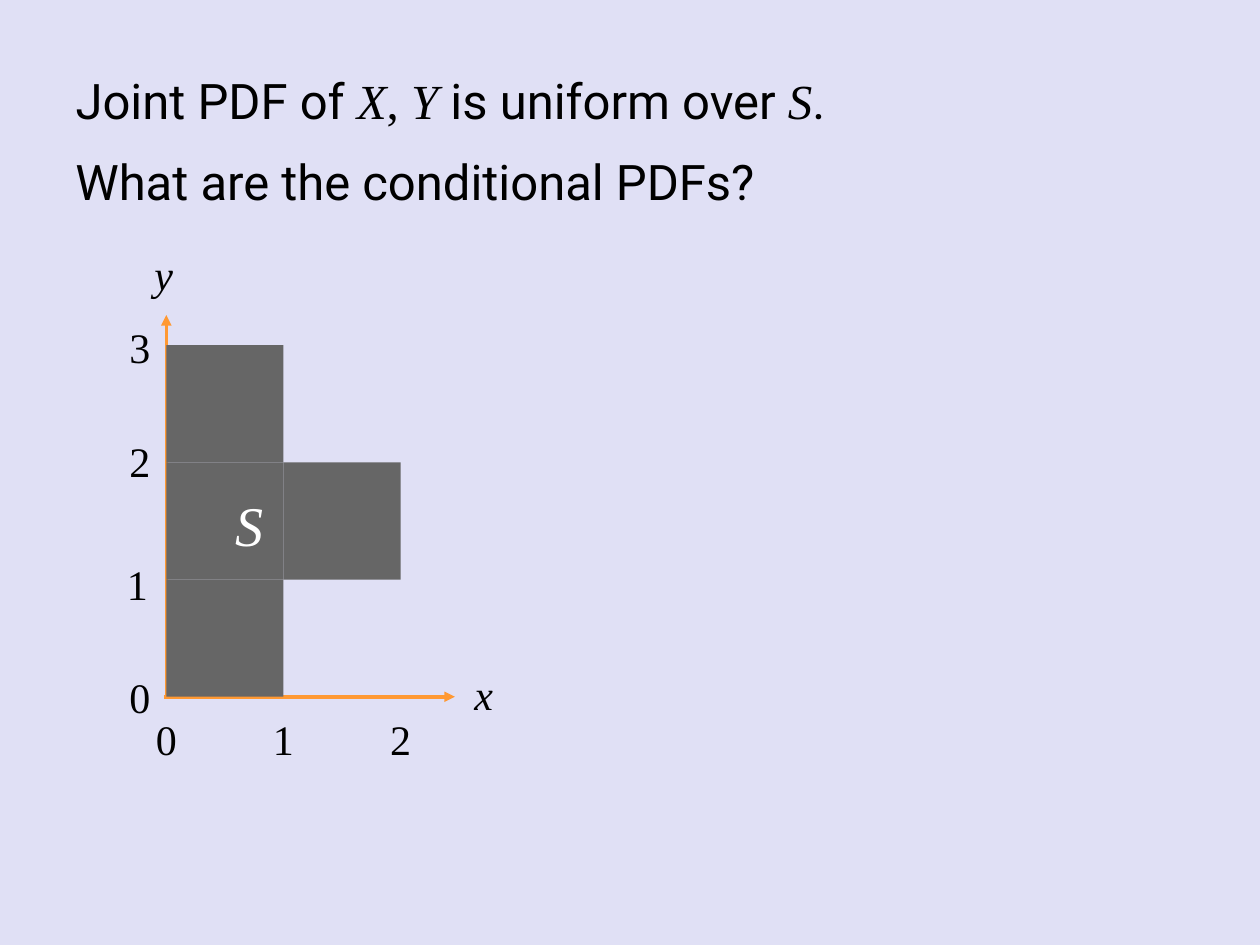
from lxml import etree
from pptx import Presentation
from pptx.dml.color import RGBColor
from pptx.enum.shapes import MSO_CONNECTOR, MSO_SHAPE
from pptx.enum.text import MSO_ANCHOR, MSO_AUTO_SIZE, PP_ALIGN
from pptx.oxml.ns import qn
from pptx.util import Inches, Pt

LINE, RECT = MSO_CONNECTOR.STRAIGHT, MSO_SHAPE.RECTANGLE
TOP, LEFT, CENTER = MSO_ANCHOR.TOP, PP_ALIGN.LEFT, PP_ALIGN.CENTER
GROW, FIXED = MSO_AUTO_SIZE.SHAPE_TO_FIT_TEXT, MSO_AUTO_SIZE.NONE

BACK = RGBColor(0xE0, 0xE0, 0xF5)
BLACK = RGBColor(0, 0, 0)
WHITE = RGBColor(255, 255, 255)
GRAY = RGBColor(0x66, 0x66, 0x66)
ORANGE = RGBColor(0xFF, 0x99, 0x33)
SANS, SERIF = "Roboto", "Times New Roman"

X0, Y0, UNIT = 1.32, 5.53, 0.93  # origin and length of one unit
CELLS = [(0, 3), (0, 2), (0, 1), (1, 2)]  # left and top, in units


def style(run, size, font, color=BLACK, italic=False):
    run.font.size = Pt(size)
    run.font.name = font
    run.font.color.rgb = color
    run.font.italic = italic


def heading(shape, top, parts):
    """Fill a full-width line of text from (text, font, italic) parts."""
    shape.left, shape.top = Inches(0.5), Inches(top)
    shape.width, shape.height = Inches(9), Inches(0.57)
    frame = shape.text_frame
    frame.word_wrap = True
    frame.auto_size = GROW
    frame.vertical_anchor = TOP
    para = frame.paragraphs[0]
    para.alignment = LEFT
    for text, font, italic in parts:
        run = para.add_run()
        run.text = text
        style(run, 28, font, italic=italic)


def label(shapes, text, x, top, size=24, color=BLACK, italic=False):
    """Add a label centred on x."""
    wide, high = 0.4, size / 50 + 0.02
    box = shapes.add_textbox(Inches(x - wide / 2), Inches(top),
                             Inches(wide), Inches(high))
    frame = box.text_frame
    frame.word_wrap = False
    frame.auto_size = FIXED
    frame.text = text
    para = frame.paragraphs[0]
    para.alignment = CENTER
    style(para.runs[0], size, SERIF, color, italic)


def axis(shapes, start, end):
    line = shapes.add_connector(LINE, *map(Inches, start + end))
    line.line.color.rgb = ORANGE
    line.line.width = Pt(2)
    tail = etree.SubElement(line.line._get_or_add_ln(), qn("a:tailEnd"))
    tail.set("type", "triangle")
    etree.SubElement(line._element.spPr, qn("a:effectLst"))


def cell(shapes, col, row):
    box = shapes.add_shape(RECT, Inches(X0 + col * UNIT),
                           Inches(Y0 - row * UNIT), Inches(UNIT), Inches(UNIT))
    box.shadow.inherit = False
    box.fill.solid()
    box.fill.fore_color.rgb = GRAY
    box.line.fill.background()


def main():
    deck = Presentation()
    deck.slide_width, deck.slide_height = Inches(10), Inches(7.5)
    slide = deck.slides.add_slide(deck.slide_layouts[5])
    slide.background.fill.solid()
    slide.background.fill.fore_color.rgb = BACK
    shapes = slide.shapes

    heading(shapes.title, 0.51, [
        ("Joint PDF of ", SANS, False), ("X", SERIF, True),
        (", ", SERIF, False), ("Y", SERIF, True),
        (" is uniform over ", SANS, False), ("S", SERIF, True),
        (".", SANS, False)])
    heading(shapes.add_textbox(0, 0, 0, 0), 1.15,
            [("What are the conditional PDFs?", SANS, False)])

    axis(shapes, (1.3, Y0), (3.61, Y0))
    axis(shapes, (X0, Y0), (X0, 2.5))
    for col, row in CELLS:
        cell(shapes, col, row)

    label(shapes, "S", 1.98, 3.84, 32, WHITE, True)
    for tick in range(3):
        label(shapes, str(tick), X0 + tick * UNIT, 5.61)
    for tick, top in enumerate((5.28, 4.38, 3.41, 2.5)):
        label(shapes, str(tick), 1.09 if tick == 1 else 1.11, top)
    label(shapes, "x", 3.84, 5.26, italic=True)
    label(shapes, "y", 1.3, 1.92, italic=True)

    deck.save("out.pptx")


if __name__ == "__main__":
    main()
